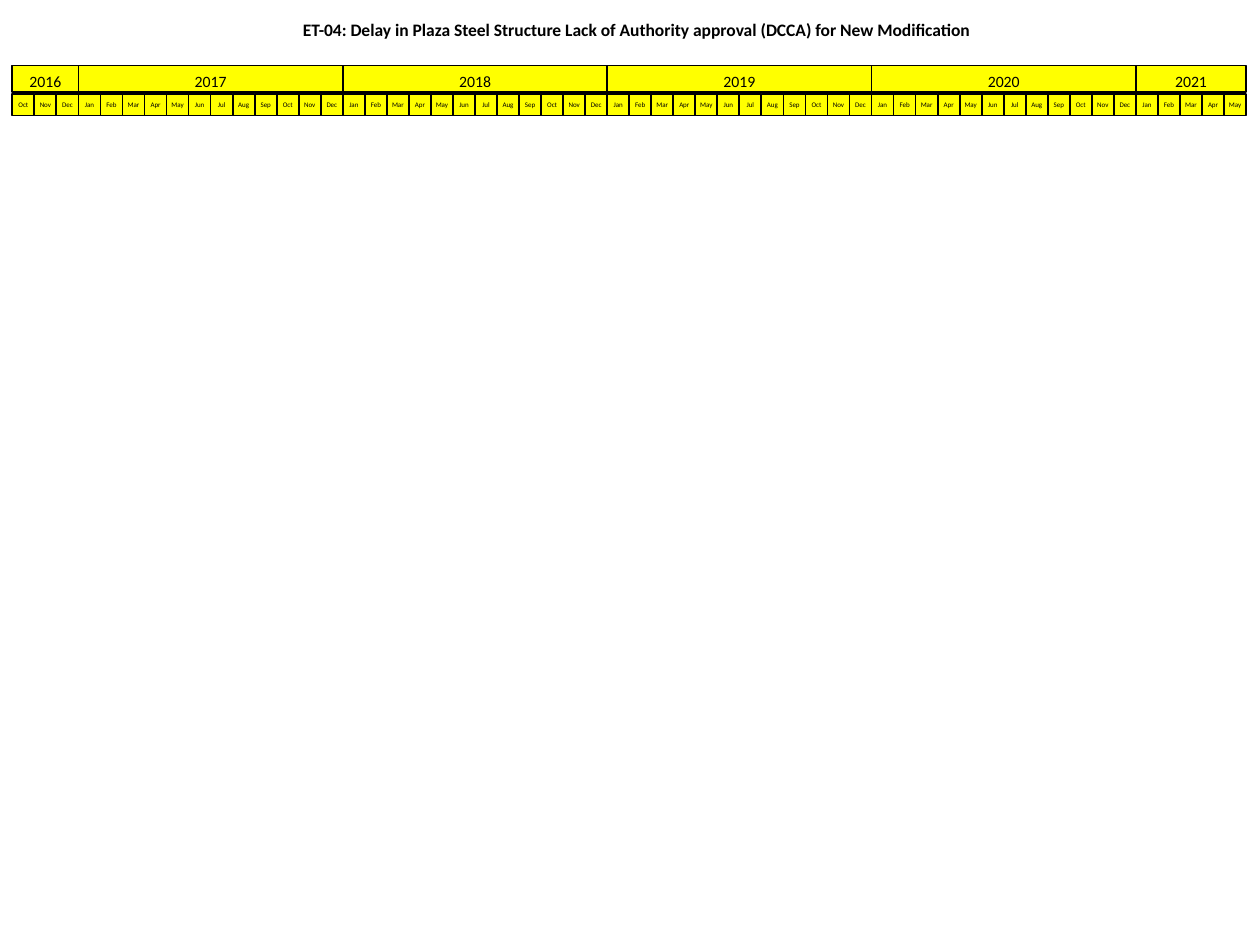
from dataclasses import dataclass

from pptx import Presentation
from pptx.dml.color import RGBColor as RGB
from pptx.enum.shapes import MSO_SHAPE as SHAPE
from pptx.enum.text import MSO_ANCHOR as ANCHOR, PP_ALIGN as ALIGN
from pptx.util import Cm, Pt


@dataclass(frozen=True)
class Theme:
    font: str = "Calibri"
    text: RGB = RGB(0, 0, 0)
    border: RGB = RGB(0, 0, 0)
    paper: RGB = RGB(255, 255, 255)
    band: RGB = RGB(255, 255, 0)
    title_size: Pt = Pt(10)
    year_size: Pt = Pt(9)
    month_size: Pt = Pt(4)


THEME = Theme()
MONTHS = "Jan Feb Mar Apr May Jun Jul Aug Sep Oct Nov Dec".split()
START = (2016, 10)
END = (2021, 5)


def add_text(sp, text, size, bold=False, side=Cm(0.25)):
    tf = sp.text_frame
    tf.word_wrap = True
    tf.vertical_anchor = ANCHOR.TOP
    tf.margin_left = tf.margin_right = side
    tf.margin_top = tf.margin_bottom = Cm(0.13)
    p = tf.paragraphs[0]
    p.alignment = ALIGN.CENTER
    r = p.add_run()
    r.text = text
    r.font.name = THEME.font
    r.font.size = size
    r.font.bold = bold
    r.font.color.rgb = THEME.text


def add_box(s, left, top, width, height, text, fill=THEME.band,
            line=THEME.border, weight=Pt(1), **text_format):
    sp = s.shapes.add_shape(SHAPE.RECTANGLE, round(left), top, round(width), height)
    sp.shadow.inherit = False
    if fill is None:
        sp.fill.background()
    else:
        sp.fill.solid()
        sp.fill.fore_color.rgb = fill
    sp.line.color.rgb = line
    sp.line.width = weight
    add_text(sp, text, **text_format)


def add_title(s, left, top, width, height, text):
    add_box(s, left, top, width, height, text, fill=None, line=THEME.paper,
            weight=Pt(0), size=THEME.title_size, bold=True)


def add_timeline(s, left, top, width):
    months = [(year, month)
              for year in range(START[0], END[0] + 1)
              for month in range(1, 13)
              if START <= (year, month) <= END]
    pitch = width / len(months)
    years = [year for year, _ in months]
    for year in sorted(set(years)):
        add_box(s, left + years.index(year) * pitch, top,
                years.count(year) * pitch, Cm(0.53), str(year),
                size=THEME.year_size)
    for i, (_, month) in enumerate(months):
        add_box(s, left + i * pitch, top + Cm(0.58), pitch, Cm(0.43),
                MONTHS[month - 1], size=THEME.month_size, side=0)


def main():
    prs = Presentation()
    prs.slide_width, prs.slide_height = Cm(25.4), Cm(19.05)
    s = prs.slides.add_slide(prs.slide_layouts[6])
    add_title(s, Cm(0.25), Cm(0.25), Cm(25.15), Cm(1.07),
              "ET-04: Delay in Plaza Steel Structure Lack of Authority "
              "approval (DCCA) for New Modification")
    add_timeline(s, Cm(0.25), Cm(1.32), Cm(24.87))
    prs.save("out.pptx")


if __name__ == "__main__":
    main()
